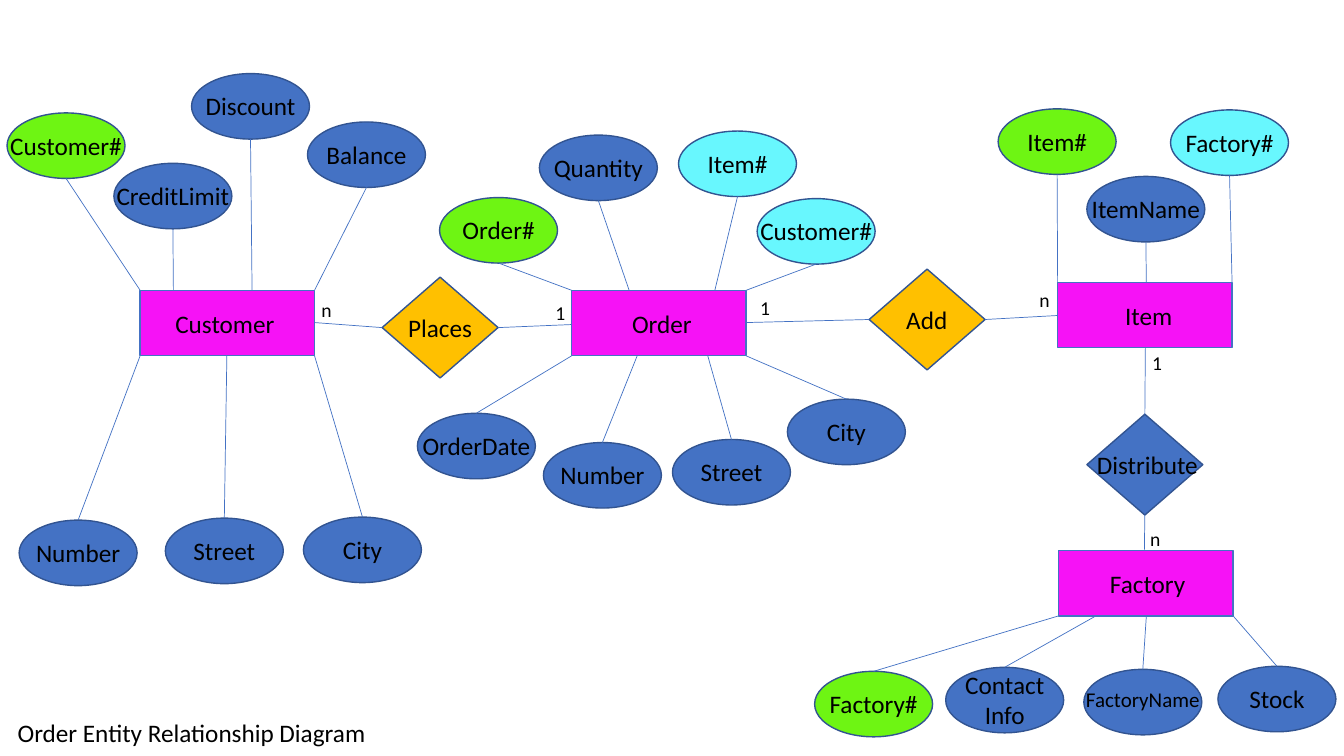
import pptx
import pptx.util
import pptx.dml.color
import pptx.enum.shapes
import pptx.enum.text
import pptx.oxml.ns
import lxml.etree

Inches = pptx.util.Inches
Pt = pptx.util.Pt
RGBColor = pptx.dml.color.RGBColor
Shape = pptx.enum.shapes.MSO_SHAPE
Align = pptx.enum.text.PP_ALIGN

BLUE = RGBColor(0x44, 0x72, 0xC4)
NAVY = RGBColor(0x32, 0x54, 0x91)
MAGENTA = RGBColor(0xF6, 0x12, 0xF6)
GREEN = RGBColor(0x6E, 0xF5, 0x13)
CYAN = RGBColor(0x68, 0xF7, 0xFE)
AMBER = RGBColor(0xFF, 0xC0, 0x00)
BLACK = RGBColor(0, 0, 0)

ENTITY_W, ENTITY_H = 1.73, 0.65
OVAL_W, OVAL_H = 1.17, 0.65
DIAMOND_W, DIAMOND_H = 1.15, 1.0
LABEL_W, LABEL_H = 1.34, 0.4

# name, x, y, name inset, attributes: name, dx, dy, anchor along entity, colour
ENTITIES = [
    ("Customer", 1.39, 2.88, 0.25, [
        ("Customer#", -1.32, -1.76, 0, GREEN),
        ("Discount", 0.51, -2.15, 1.11, BLUE),
        ("Balance", 1.66, -1.67, 1.73, BLUE),
        ("CreditLimit", -0.26, -1.26, 0.33, BLUE),
        ("Number", -1.2, 2.28, 0, BLUE),
        ("Street", 0.25, 2.26, 0.86, BLUE),
        ("City", 1.62, 2.25, 1.73, BLUE),
    ]),
    ("Order", 5.67, 2.88, 0.5, [
        ("Item#", 1.06, -1.58, 1.42, CYAN),
        ("Quantity", -0.32, -1.54, 0.57, BLUE),
        ("Order#", -1.31, -0.92, 0, GREEN),
        ("Customer#", 1.84, -0.91, 1.73, CYAN),
        ("OrderDate", -1.53, 1.22, 0, BLUE),
        ("Number", -0.28, 1.51, 0.65, BLUE),
        ("Street", 1.0, 1.48, 1.35, BLUE),
        ("City", 2.14, 1.08, 1.73, BLUE),
    ]),
    ("Item", 10.49, 2.8, 0.57, [
        ("Item#", -0.59, -1.72, 0, GREEN),
        ("Factory#", 1.12, -1.71, 1.73, CYAN),
        ("ItemName", 0.29, -1.05, 0.88, BLUE),
    ]),
    ("Factory", 10.5, 5.46, 0.41, [
        ("Factory#", -2.42, 1.2, 0, GREEN),
        ("Contact Info", -1.12, 1.16, 0.37, BLUE),
        ("FactoryName", 0.25, 1.18, 0.87, BLUE),
        ("Stock", 1.58, 1.15, 1.73, BLUE),
    ]),
]

LEFT, RIGHT = (0, DIAMOND_H / 2), (DIAMOND_W, DIAMOND_H / 2)
TOP, BOTTOM = (DIAMOND_W / 2, 0), (DIAMOND_W / 2, DIAMOND_H)

RELATIONSHIPS = [
    ("Places", 3.79, 2.75, 0.16, AMBER, [
        (LEFT, (-0.67, 0.45), "n", (-0.7, 0.16)),
        (RIGHT, (1.88, 0.47), "1", (1.62, 0.19)),
    ]),
    ("Add", 8.62, 2.67, 0.27, AMBER, [
        (LEFT, (-1.22, 0.53), "1", (-1.18, 0.22)),
        (RIGHT, (1.87, 0.46), "n", (1.59, 0.14)),
    ]),
    ("Distribute", 10.78, 4.11, 0, BLUE, [
        (TOP, (0.58, -0.66), "1", (0.55, -0.68)),
        (BOTTOM, (0.57, 1.35), "n", (0.53, 1.07)),
    ]),
]


def add_label(parent, text, x, y, w=LABEL_W, h=LABEL_H, size=18, align=Align.LEFT):
    frame = parent.add_textbox(*map(Inches, (x, y, w, h))).text_frame
    frame.word_wrap = True
    paragraph = frame.paragraphs[0]
    paragraph.alignment = align
    run = paragraph.add_run()
    run.text = text
    run.font.color.rgb = BLACK
    for attribute, value in {"name": "Calibri", "size": Pt(size)}.items():
        setattr(run.font, attribute, value)


def add_node(parent, kind, x, y, w, h, colour, outline):
    node = parent.add_shape(kind, *map(Inches, (x, y, w, h)))
    node.shadow.inherit = False
    node.fill.solid()
    node.fill.fore_color.rgb = colour
    node.line.color.rgb = outline
    node.line.width = Pt(1)


def add_link(shapes, start, end):
    link = shapes.add_connector(
        pptx.enum.shapes.MSO_CONNECTOR.STRAIGHT, *map(Inches, (*start, *end)))
    link.line.color.rgb = BLUE
    link.line.width = Pt(0.5)
    lxml.etree.SubElement(link._element.spPr, pptx.oxml.ns.qn("a:effectLst"))


def draw_attribute(shapes, name, x, y, colour):
    group = shapes.add_group_shape().shapes
    add_node(group, Shape.OVAL, x, y, OVAL_W, OVAL_H, colour, NAVY)
    size = 15 if name == "FactoryName" else 18
    drop, height = (-0.03, 0.71) if " " in name else (0.12, LABEL_H)
    add_label(group, name, x + (OVAL_W - LABEL_W) / 2, y + drop,
              h=height, size=size, align=Align.CENTER)


def draw_entity(shapes, name, x, y, inset, attributes):
    group = shapes.add_group_shape().shapes
    add_node(group, Shape.RECTANGLE, x, y, ENTITY_W, ENTITY_H, MAGENTA, BLUE)
    add_label(group, name, x + inset, y + 0.13, w=1.32)
    for attribute, dx, dy, anchor, colour in attributes:
        draw_attribute(shapes, attribute, x + dx, y + dy, colour)
        above = dy < 0
        add_link(shapes,
                 (x + dx + OVAL_W / 2, y + dy + (OVAL_H if above else 0)),
                 (x + anchor, y + (0 if above else ENTITY_H)))


def draw_relationship(shapes, name, x, y, inset, colour, links):
    group = shapes.add_group_shape().shapes
    add_node(group, Shape.DIAMOND, x, y, DIAMOND_W, DIAMOND_H, colour, NAVY)
    add_label(group, name, x + inset, y + 0.3, w=1.23)
    for corner, end, cardinality, spot in links:
        add_link(shapes, (x + corner[0], y + corner[1]), (x + end[0], y + end[1]))
        add_label(shapes, cardinality, x + spot[0], y + spot[1], 0.34, 0.34, size=14)


def main():
    deck = pptx.Presentation()
    deck.slide_width, deck.slide_height = Inches(13.33), Inches(7.5)
    shapes = deck.slides.add_slide(deck.slide_layouts[6]).shapes
    for entity in ENTITIES:
        draw_entity(shapes, *entity)
    for relationship in RELATIONSHIPS:
        draw_relationship(shapes, *relationship)
    add_label(shapes, "Order Entity Relationship Diagram", -0.9, 7.07, w=5.6, align=Align.CENTER)
    deck.save("out.pptx")


if __name__ == "__main__":
    main()
